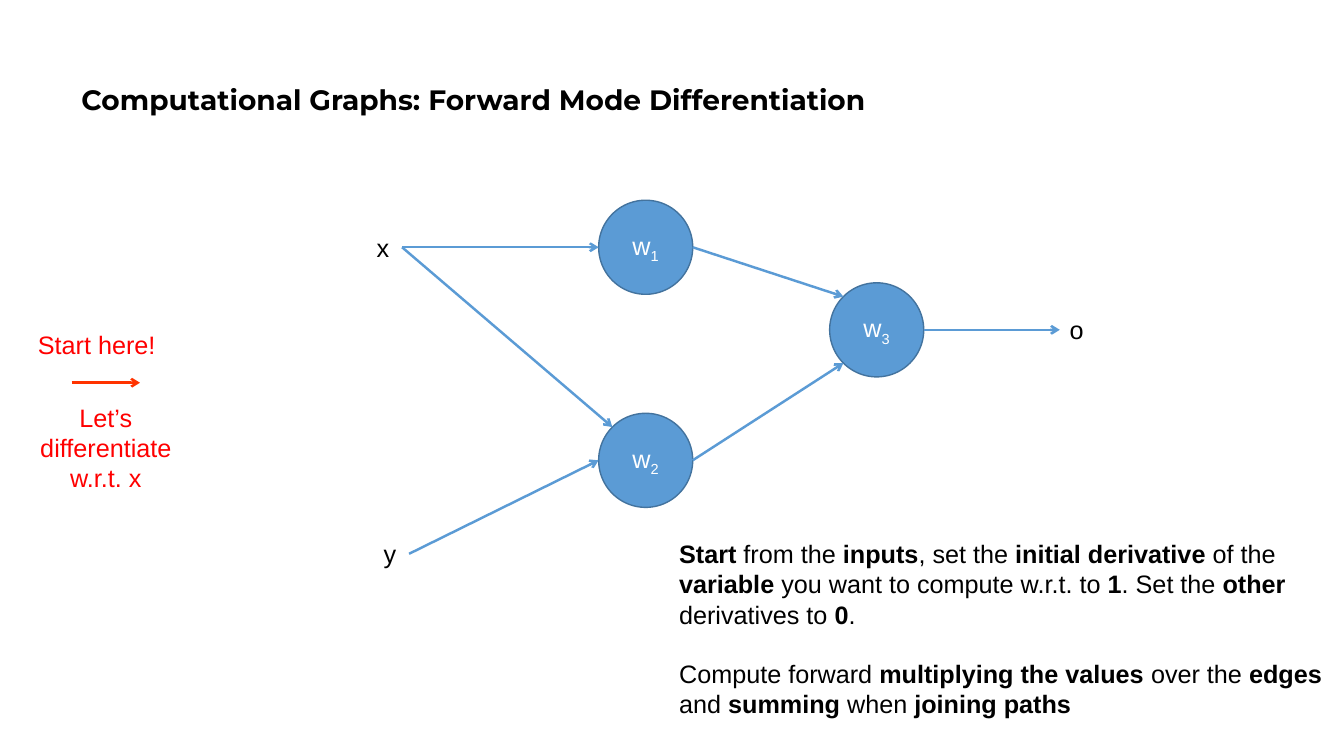
"""Build the forward mode differentiation slide."""
from math import cos, radians, sin

from lxml.etree import SubElement
from pptx import Presentation
from pptx.dml.color import RGBColor
from pptx.enum.shapes import MSO_CONNECTOR, MSO_SHAPE
from pptx.enum.text import MSO_ANCHOR, MSO_AUTO_SIZE, PP_ALIGN
from pptx.oxml.ns import qn
from pptx.util import Pt

TITLE = "Computational Graphs: Forward Mode Differentiation"
BLUE, OUTLINE, RED, ORANGE = "5B9BD5", "43739E", "FF0000", "FF3300"
BLACK, WHITE = "000000", "FFFFFF"
DIAMETER = 67.2
LABEL_W, LABEL_H = 25.2, 29

NODES = {"1": (461.2, 176.6), "2": (461.2, 328.8), "3": (626.2, 235.6)}
LABELS = {"x": (274.6, 176.6), "y": (279.6, 395.6), "o": (769.6, 235.6)}
LEFT, RIGHT = 1, 3
EDGES = [
    (("x", RIGHT), ("1", 180)),
    (("x", RIGHT), ("2", 225)),
    (("y", RIGHT), ("2", 180)),
    (("1", 0), ("3", 225)),
    (("2", 0), ("3", 135)),
    (("3", 0), ("o", LEFT)),
]
NOTES = [
    (["Start here!"], (20, 232, 111.6, 29), RED, PP_ALIGN.LEFT),
    (["Let’s differentiate w.r.t. x"], (1.4, 283.8, 148.4, 72.7), RED, PP_ALIGN.CENTER),
    (["**Start **from the **inputs**, set the **initial derivative **of the **variable **"
      "you want to compute w.r.t. to **1**. Set the **other **derivatives to **0**.",
      "Compute forward **multiplying the values **over the **edges **and **summing** "
      "when **joining paths**"], (478, 381, 476, 138), BLACK, PP_ALIGN.LEFT),
]
START_ARROW = ((51.2, 273.4), (100, 273.4))


def rgb(value):
    """Return the colour of a hex string."""
    return RGBColor.from_string(value)


def write(p, text, size=18, font="Arial", color=BLACK, bold=False, sub="", align=PP_ALIGN.LEFT):
    """Fill a paragraph, toggling bold at ** and adding a subscript."""
    p.alignment = align
    parts = [(part, bold ^ (i % 2 == 1), False) for i, part in enumerate(text.split("**"))]
    for part, strong, lowered in parts + [(sub, bold, True)]:
        if not part:
            continue
        r = p.add_run()
        r.text = part
        r.font.size, r.font.name, r.font.bold = Pt(size), font, strong
        r.font.color.rgb = rgb(color)
        if lowered:
            r._r.get_or_add_rPr().set("baseline", "-25000")


def add_text(s, paragraphs, box, wrap=True, **style):
    """Add a text box with one or more paragraphs."""
    sp = s.shapes.add_textbox(*map(Pt, box))
    tf = sp.text_frame
    tf.word_wrap = wrap
    tf.auto_size = MSO_AUTO_SIZE.SHAPE_TO_FIT_TEXT
    for i, text in enumerate(paragraphs):
        p = tf.add_paragraph() if i else tf.paragraphs[0]
        if i:
            p.space_before = Pt(20.7)
        write(p, text, **style)
    return sp


def add_node(s, number, center):
    """Add a round weight node."""
    x, y = (c - DIAMETER / 2 for c in center)
    sp = s.shapes.add_shape(MSO_SHAPE.OVAL, Pt(x), Pt(y), Pt(DIAMETER), Pt(DIAMETER))
    sp.shadow.inherit = False
    sp.fill.solid()
    sp.fill.fore_color.rgb = rgb(BLUE)
    sp.line.color.rgb = rgb(OUTLINE)
    sp.line.width = Pt(1)
    sp.text_frame.vertical_anchor = MSO_ANCHOR.MIDDLE
    write(sp.text_frame.paragraphs[0], "w", color=WHITE, sub=number, align=PP_ALIGN.CENTER)


def add_arrow(s, start, end, color=BLUE):
    """Add a straight arrow between two points."""
    cxn = s.shapes.add_connector(MSO_CONNECTOR.STRAIGHT, *map(Pt, start + end))
    cxn.line.color.rgb = rgb(color)
    cxn.line.width = Pt(1.75)
    SubElement(cxn.line._get_or_add_ln(), qn("a:tailEnd"), type="arrow")
    SubElement(cxn._element.spPr, qn("a:effectLst"))
    return cxn


def end_point(name, site):
    """Return a point on a node at an angle, or on a label's side."""
    if name in NODES:
        x, y = NODES[name]
        angle = radians(site)
        return x + DIAMETER / 2 * cos(angle), y + DIAMETER / 2 * sin(angle)
    x, y = LABELS[name]
    return x + (site - 2) * LABEL_W / 2, y


def main():
    """Lay out the slide and save it."""
    prs = Presentation()
    prs.slide_width, prs.slide_height = Pt(960), Pt(540)
    s = prs.slides.add_slide(prs.slide_layouts[5])
    title = s.shapes.title
    title.left, title.top, title.width, title.height = map(Pt, (51, 20, 828, 104.4))
    title.text_frame.vertical_anchor = MSO_ANCHOR.MIDDLE
    p = title.text_frame.paragraphs[0]
    p.line_spacing = 0.9
    write(p, TITLE, size=20, font="Montserrat", bold=True)

    for number, center in NODES.items():
        add_node(s, number, center)
    labels = {}
    for name, (x, y) in LABELS.items():
        box = (x - LABEL_W / 2, y - LABEL_H / 2, LABEL_W, LABEL_H)
        labels[name] = add_text(s, [name], box, wrap=False)
    for start, end in EDGES:
        cxn = add_arrow(s, end_point(*start), end_point(*end))
        if start[0] in labels:
            cxn.begin_connect(labels[start[0]], start[1])
        if end[0] in labels:
            cxn.end_connect(labels[end[0]], end[1])
    for paragraphs, box, color, align in NOTES:
        add_text(s, paragraphs, box, color=color, align=align)
    add_arrow(s, *START_ARROW, color=ORANGE)
    prs.save("out.pptx")


if __name__ == "__main__":
    main()
